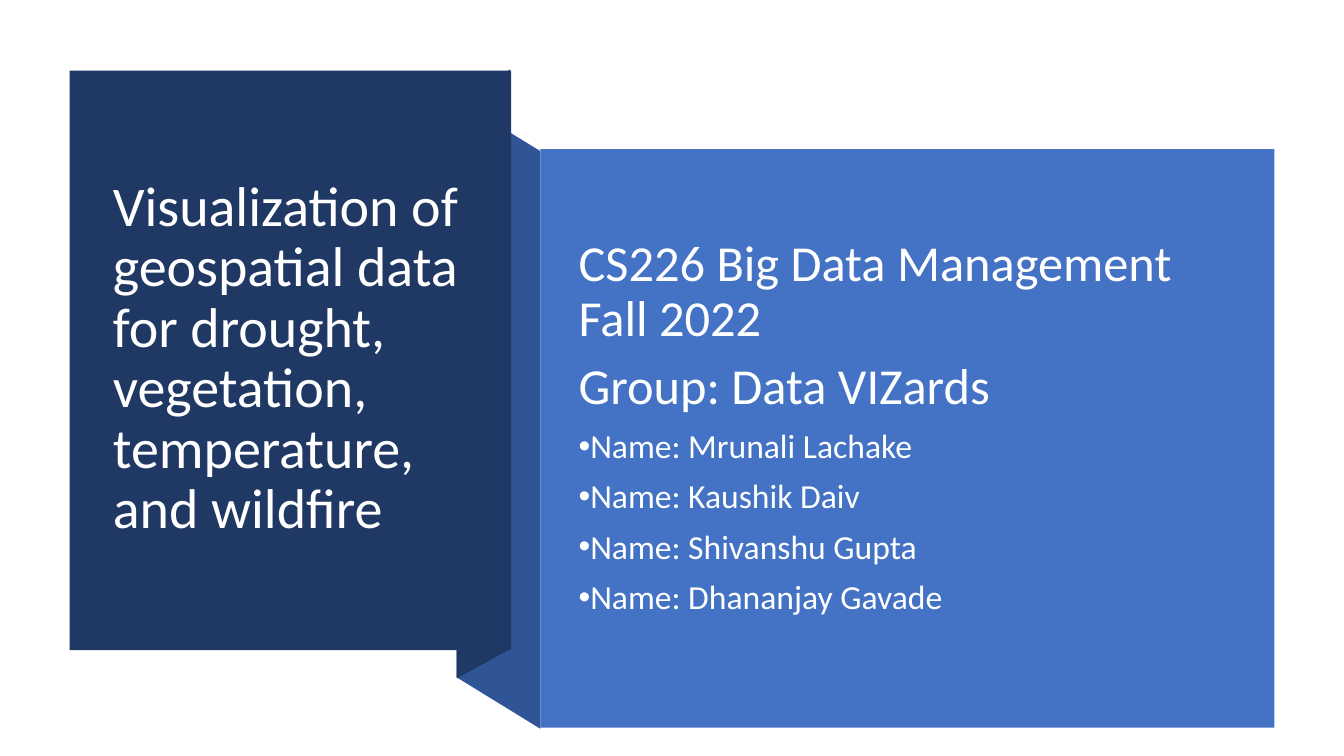
"""Build the opening slide with a folded ribbon panel."""
from lxml.etree import SubElement
from pptx import Presentation
from pptx.dml.color import RGBColor
from pptx.enum.shapes import MSO_SHAPE as Preset
from pptx.enum.text import MSO_ANCHOR as Anchor, MSO_AUTO_SIZE as AutoSize, PP_ALIGN as Align
from pptx.oxml.ns import qn
from pptx.util import Inches, Pt

COLORS = {"navy": "203864", "fold": "2F5597", "blue": "4472C4",
          "white": "FFFFFF", "soft_white": "FEFFFF"}
TITLE = "Visualization of geospatial data for drought, vegetation, temperature, and wildfire"
COURSE = "CS226 Big Data Management Fall 2022"
GROUP = "Group: Data VIZards"
MEMBERS = ["Mrunali Lachake", "Kaushik Daiv", "Shivanshu Gupta", "Dhananjay Gavade"]


def rgb(name):
    """Return the named colour."""
    return RGBColor.from_string(COLORS[name])


def paint(shape, color):
    """Give a shape a plain fill with no line or shadow."""
    shape.shadow.inherit = False
    shape.fill.solid()
    shape.fill.fore_color.rgb = rgb(color)
    shape.line.fill.background()


def add_panel(slide, left, top, width, height, color):
    """Add a filled rectangle."""
    panel = slide.shapes.add_shape(
        Preset.RECTANGLE, Inches(left), Inches(top), Inches(width), Inches(height))
    paint(panel, color)


def add_fold(slide, corners, color):
    """Add a filled polygon through the given corners."""
    start, *others = [(Inches(x), Inches(y)) for x, y in corners]
    outline = slide.shapes.build_freeform(*start, scale=1.0)
    outline.add_line_segments(others, close=True)
    paint(outline.convert_to_shape(), color)


def set_frame(shape, left, top, width, height):
    """Place a text shape and centre its wrapped text vertically."""
    shape.left, shape.top = Inches(left), Inches(top)
    shape.width, shape.height = Inches(width), Inches(height)
    frame = shape.text_frame
    frame.word_wrap = True
    frame.auto_size = AutoSize.NONE
    frame.vertical_anchor = Anchor.MIDDLE
    return frame


def write(paragraph, text, size, color="soft_white", before=0, bullet=False):
    """Fill a paragraph with formatted text."""
    paragraph.alignment = Align.LEFT
    paragraph.line_spacing = 0.9
    paragraph.space_before = Pt(before)
    if bullet:
        properties = paragraph._p.get_or_add_pPr()
        properties.set("marL", "0")
        properties.set("indent", str(-Inches(0.25)))
        SubElement(properties, qn("a:buFont"), typeface="Arial")
        SubElement(properties, qn("a:buChar"), char="•")
    run = paragraph.add_run()
    run.text = text
    run.font.name = "Calibri"
    run.font.size = Pt(size)
    run.font.color.rgb = rgb(color)


def add_title(slide):
    """Format the title and bring it in front of the navy panel."""
    title = slide.shapes.title
    frame = set_frame(title, 1.02, 1.07, 3.71, 4.99)
    write(frame.paragraphs[0], TITLE, 40, color="white")
    title.element.getparent().append(title.element)


def add_details(slide):
    """Add the course, the group and its members."""
    box = slide.shapes.add_textbox(0, 0, 0, 0)
    frame = set_frame(box, 5.64, 1.87, 6.51, 4.74)
    write(frame.paragraphs[0], COURSE, 36, color="white")
    write(frame.add_paragraph(), GROUP, 36, before=10)
    for member in MEMBERS:
        write(frame.add_paragraph(), f"Name: {member}", 24, before=10, bullet=True)


def main():
    """Build and save the slide."""
    deck = Presentation()
    deck.slide_width, deck.slide_height = Inches(13.33), Inches(7.5)
    slide = deck.slides.add_slide(deck.slide_layouts[5])
    add_fold(slide, [(5.36, 7.23), (4.53, 6.72), (4.53, 0.99), (5.36, 1.5)], "fold")
    add_fold(slide, [(5.06, 6.44), (4.53, 6.73), (4.53, 0.98), (5.06, 0.69)], "navy")
    add_panel(slide, 0.69, 0.7, 4.38, 5.75, "navy")
    add_title(slide)
    add_panel(slide, 5.36, 1.48, 7.28, 5.74, "blue")
    add_details(slide)
    deck.save("out.pptx")


if __name__ == "__main__":
    main()
